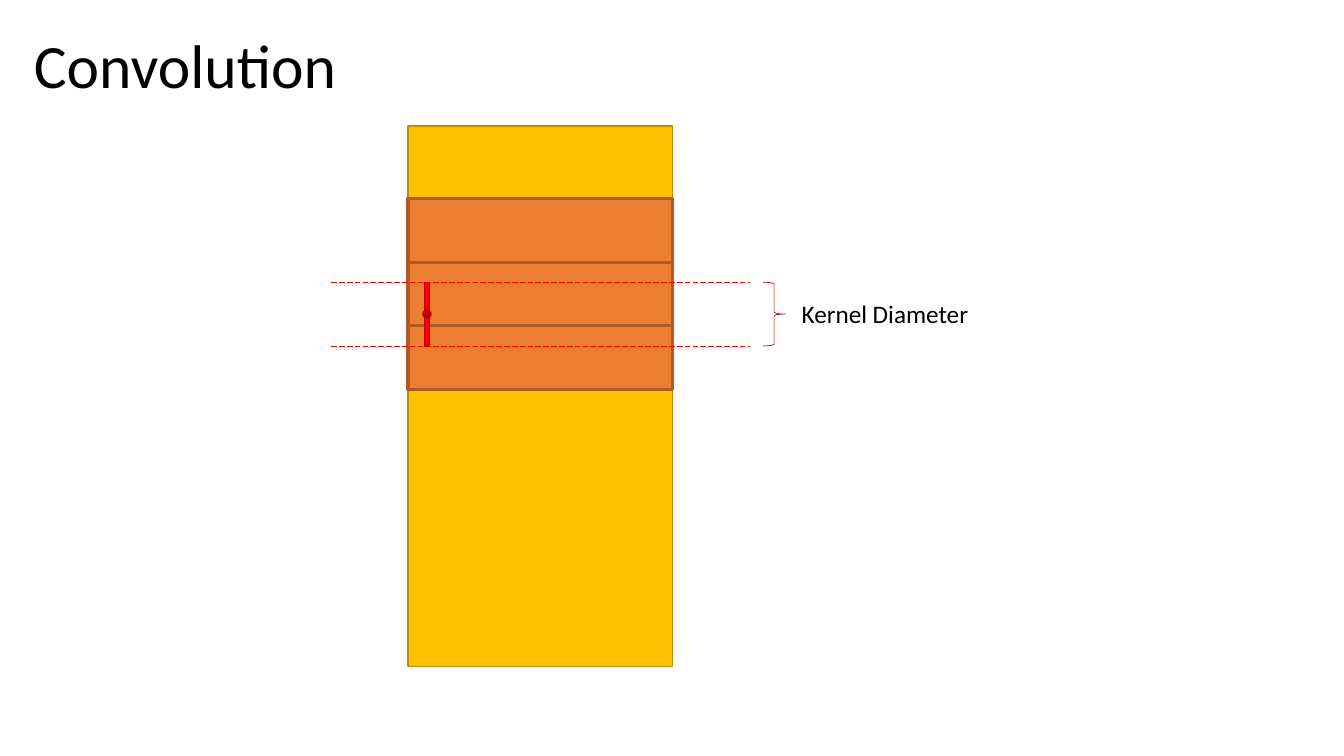
import pptx
import pptx.util
import pptx.dml.color
import pptx.enum.dml
import pptx.enum.shapes
import pptx.enum.text
import pptx.oxml

Pt = pptx.util.Pt
SHAPE = pptx.enum.shapes.MSO_SHAPE
ALIGN = pptx.enum.text.PP_ALIGN
ANCHOR = pptx.enum.text.MSO_ANCHOR
FIT = pptx.enum.text.MSO_AUTO_SIZE
FONT = "Calibri"
COLORS = {
    "text": "000000",
    "image": "FFC000", "image edge": "BD8E00",
    "band": "ED7D31", "band edge": "AF5C24",
    "kernel": "FF0000", "center": "C00000",
}


def color(name):
    """Return the named colour."""
    return pptx.dml.color.RGBColor.from_string(COLORS[name])


def add_form(shapes, kind, box, fill, edge, width):
    """Add a preset shape; a fill of None leaves it open."""
    form = shapes.add_shape(kind, *map(Pt, box))
    form.shadow.inherit = False
    if fill:
        form.fill.solid()
        form.fill.fore_color.rgb = color(fill)
    else:
        form.fill.background()
    form.line.color.rgb = color(edge)
    form.line.width = Pt(width)


def add_words(frame, words, size):
    """Write one run into the first paragraph."""
    para = frame.paragraphs[0]
    para.alignment = ALIGN.LEFT
    run = para.add_run()
    run.text = words
    run.font.name = FONT
    run.font.size = Pt(size)
    run.font.color.rgb = color("text")
    return para


def add_title(slide, box):
    """Move the title placeholder into the box and fill it."""
    title = slide.shapes.title
    title.left, title.top, title.width, title.height = map(Pt, box)
    frame = title.text_frame
    frame.vertical_anchor = ANCHOR.MIDDLE
    frame.auto_size = FIT.NONE
    add_words(frame, "Convolution", 44).line_spacing = 0.9


def add_image(slide, box, offset, step):
    """Draw the tall block with three bands of equal height."""
    left, top, width, _ = box
    add_form(slide.shapes, SHAPE.RECTANGLE, box, "image", "image edge", 1)
    bands = slide.shapes.add_group_shape().shapes
    first = top + offset
    for row, count in ((0, 3), (0, 1), (1, 1)):
        area = (left, first + row * step, width, count * step)
        add_form(bands, SHAPE.RECTANGLE, area, "band", "band edge", 2.25)


def add_kernel(slide, box, dot):
    """Draw the kernel bar with a dot at its center."""
    left, top, width, height = box
    parts = slide.shapes.add_group_shape().shapes
    add_form(parts, SHAPE.RECTANGLE, box, "kernel", "center", 1)
    spot = (left + (width - dot) / 2, top + (height - dot) / 2, dot, dot)
    add_form(parts, SHAPE.OVAL, spot, "center", "center", 1)


def add_guides(slide, box):
    """Draw dashed lines along the top and bottom of the box."""
    left, top, width, height = box
    for level in (top, top + height):
        line = slide.shapes.add_connector(
            pptx.enum.shapes.MSO_CONNECTOR.STRAIGHT,
            Pt(left), Pt(level), Pt(left + width), Pt(level))
        line.line.color.rgb = color("kernel")
        line.line.width = Pt(0.5)
        line.line.dash_style = pptx.enum.dml.MSO_LINE.LONG_DASH
        props = line._element.spPr
        props.append(pptx.oxml.parse_xml(
            '<a:effectLst xmlns:a='
            '"http://schemas.openxmlformats.org/drawingml/2006/main"/>'))


def add_label(slide, box):
    """Draw the brace and, to its right, the kernel label."""
    left, top, width, height = box
    add_form(slide.shapes, SHAPE.RIGHT_BRACE, box, None, "center", 0.5)
    high = 29
    area = (left + width + 4.5, top + (height - high) / 2, 135, high)
    frame = slide.shapes.add_textbox(*map(Pt, area)).text_frame
    frame.word_wrap = False
    frame.auto_size = FIT.SHAPE_TO_FIT_TEXT
    add_words(frame, "Kernel Diameter", 18)


def main():
    """Build and save the slide."""
    deck = pptx.Presentation()
    deck.slide_width, deck.slide_height = Pt(960), Pt(540)
    slide = deck.slides.add_slide(deck.slide_layouts[5])
    size, top = 45.5, 201.6
    add_image(slide, (291.5, 90, 189, 386), 51.8, size)
    add_title(slide, (17, 6.5, 419, 85))
    add_kernel(slide, (303.2, top, 3.6, size), 5.8)
    add_guides(slide, (236.5, top, 299, size))
    add_label(slide, (545, top, 16, size))
    deck.save("out.pptx")


main()
